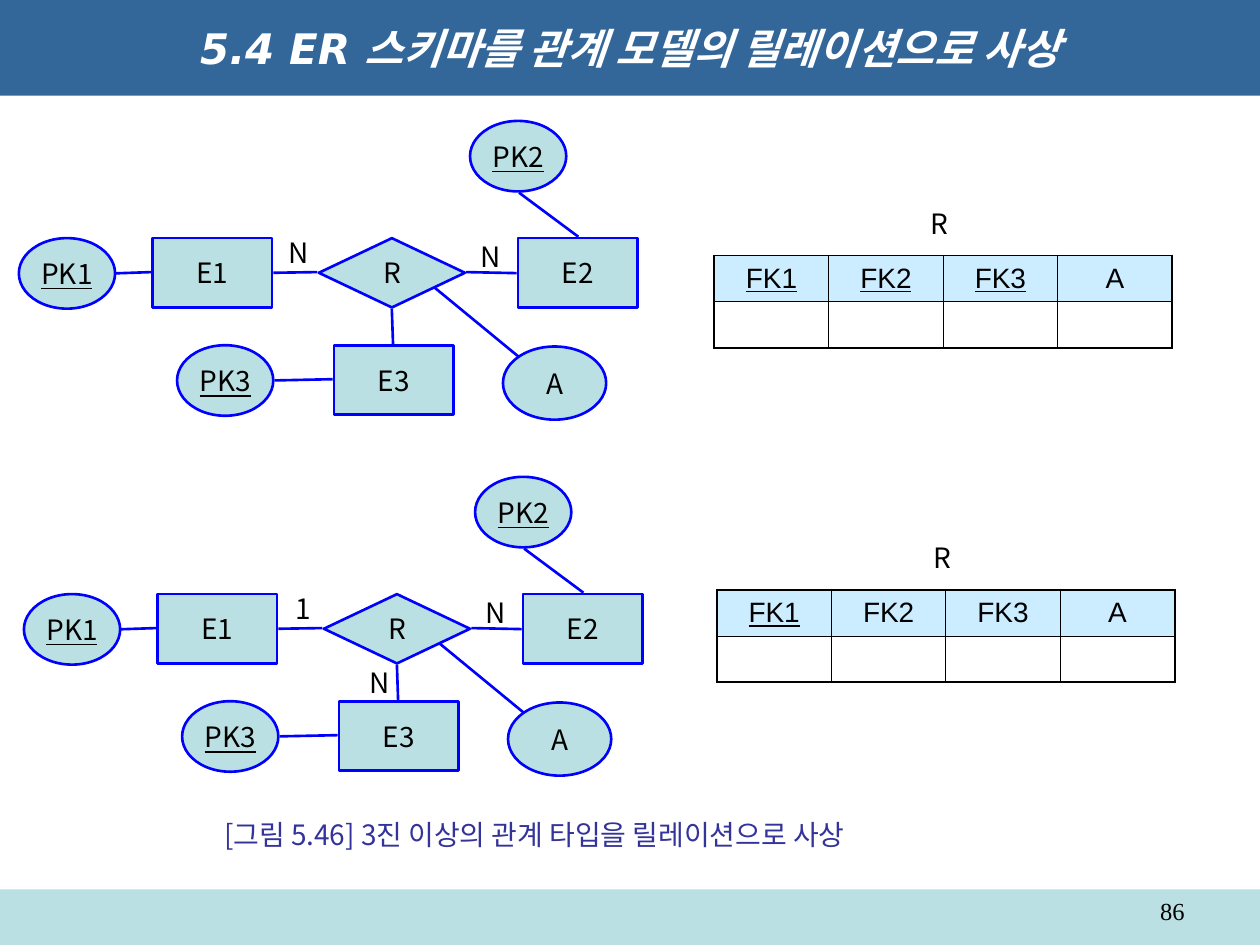
from lxml import etree
from pptx import Presentation
from pptx.dml.color import RGBColor
from pptx.enum.shapes import MSO_CONNECTOR, MSO_SHAPE
from pptx.enum.text import MSO_ANCHOR, PP_ALIGN
from pptx.oxml.ns import qn
from pptx.util import Pt

RECT, OVAL, DIAMOND = MSO_SHAPE.RECTANGLE, MSO_SHAPE.OVAL, MSO_SHAPE.DIAMOND
LINE = MSO_CONNECTOR.STRAIGHT
TOP, MIDDLE = MSO_ANCHOR.TOP, MSO_ANCHOR.MIDDLE
LEFT, CENTER, RIGHT = PP_ALIGN.LEFT, PP_ALIGN.CENTER, PP_ALIGN.RIGHT

BLACK = RGBColor(0, 0, 0)
WHITE = RGBColor(255, 255, 255)
BLUE = RGBColor(0, 0, 255)
TEAL = RGBColor(0xBB, 0xE0, 0xE3)
STEEL = RGBColor(0x33, 0x66, 0x99)
INDIGO = RGBColor(0x33, 0x33, 0x99)
PALE = RGBColor(0xCC, 0xEC, 0xFF)
SANS, HANGUL = "Noto Sans CJK JP", "Noto Sans CJK KR"

NODES = [
    (DIAMOND, "R", 171.4, 67, 83.5, 39.6),
    (RECT, "E1", 76.3, 67, 68.4, 39.6),
    (RECT, "E2", 285.1, 67, 68.4, 39.6),
    (RECT, "E3", 180, 128.2, 68.4, 39.6),
    (OVAL, "PK1", 0, 67, 55, 40.3),
    (OVAL, "PK2", 257.8, 0, 55, 40.3),
    (OVAL, "PK3", 90.4, 128.2, 55, 40.3),
    (OVAL, "A", 276.6, 128.9, 59, 41.8),
]
LINKS = [
    (234.7, 92.9, 291.6, 139.7),
    (55.4, 87.1, 75.6, 86.4),
    (285.8, 41, 319.7, 66.2),
    (145.4, 86.8, 170.6, 86.4),
    (255.6, 86.4, 284.4, 87),
    (146.2, 148.3, 179.3, 147.6),
    (213.1, 107.3, 213.8, 127.4),
]
SPOTS = [(146.3, 62), (256.3, 64.4), (190.1, 104.4)]


def write(frame, text, size=16, font=SANS, color=BLACK, align=CENTER,
          bold=False, italic=False, under=False):
    para = frame.paragraphs[0]
    para.alignment = align
    run = para.add_run()
    run.text = text
    style = run.font
    style.size, style.name = Pt(size), font
    style.bold, style.italic, style.underline = bold, italic, under
    style.color.rgb = color
    asian = font if font == SANS else HANGUL
    etree.SubElement(run._r.get_or_add_rPr(), qn("a:ea"), typeface=asian)


def label(slide, box, text, anchor=TOP, wrap=False, **style):
    frame = slide.shapes.add_textbox(*map(Pt, box)).text_frame
    frame.word_wrap = wrap
    frame.vertical_anchor = anchor
    write(frame, text, **style)


def block(slide, kind, box, fill, edge=None):
    shape = slide.shapes.add_shape(kind, *map(Pt, box))
    shape.shadow.inherit = False
    shape.fill.solid()
    shape.fill.fore_color.rgb = fill
    if edge is None:
        shape.line.fill.background()
    else:
        shape.line.color.rgb = edge
        shape.line.width = Pt(1.5)
    shape.text_frame.vertical_anchor = MIDDLE
    return shape


def link(slide, ends):
    wire = slide.shapes.add_connector(LINE, *map(Pt, ends))
    wire.line.color.rgb = BLUE
    wire.line.width = Pt(1.5)
    etree.SubElement(wire._element.spPr, qn("a:effectLst"))


def diagram(slide, left, top, marks):
    for x1, y1, x2, y2 in LINKS:
        link(slide, (left + x1, top + y1, left + x2, top + y2))
    for kind, name, x, y, wide, high in NODES:
        shape = block(slide, kind, (left + x, top + y, wide, high), TEAL, BLUE)
        shape.text_frame.word_wrap = False
        write(shape.text_frame, name, under=name.startswith("PK"))
    for (x, y), mark in zip(SPOTS, marks):
        if mark:
            label(slide, (left + x, top + y, 26.6, 26.6), mark)


def border(cell, sides):
    props = cell._tc.get_or_add_tcPr()
    for spot, (side, thick) in enumerate(sides.items()):
        line = etree.Element(qn("a:ln" + side), w=str(Pt(thick)))
        fill = etree.SubElement(line, qn("a:solidFill"))
        etree.SubElement(fill, qn("a:srgbClr"), val=str(BLACK))
        props.insert(spot, line)


def relation(slide, left, top, keys):
    names = ["FK1", "FK2", "FK3", "A"]
    wide, high, thin, thick = 65.4, 26.4, 0.45, 1.08
    last = len(names) - 1
    box = map(Pt, (left, top, wide * len(names), high * 2))
    table = slide.shapes.add_table(2, len(names), *box).table
    for col, name in enumerate(names):
        table.columns[col].width = Pt(wide)
        for row in range(2):
            cell = table.cell(row, col)
            cell.vertical_anchor = MIDDLE
            cell.fill.solid()
            cell.fill.fore_color.rgb = WHITE if row else PALE
            border(cell, {
                "L": thin if col else thick,
                "R": thick if col == last else thin,
                "T": thin if row else thick,
                "B": thick if row else thin,
            })
            if row:
                cell.margin_top = cell.margin_bottom = 0
            else:
                write(cell.text_frame, name, font="Arial", under=name in keys)
    for row in table.rows:
        row.height = Pt(high)
    label(slide, (left + 116.5, top - 31.7, 24.5, 26.6), "R")


def header(slide, box):
    bar = block(slide, RECT, box, STEEL)
    write(bar.text_frame, "5.4 ER 스키마를 관계 모델의 릴레이션으로 사상", size=24,
          font="DejaVu Sans", color=WHITE, bold=True, italic=True)


def footer(slide, left, top, wide, high):
    block(slide, RECT, (left, top, wide, high), TEAL)
    label(slide, (left + wide - 203.8, top, 167.8, 20.9), "86", wrap=True,
          size=14, font="Times New Roman", align=RIGHT)


def main():
    deck = Presentation()
    deck.slide_width, deck.slide_height = Pt(720), Pt(540)
    slide = deck.slides.add_slide(deck.slide_layouts[6])
    footer(slide, 0, 508.3, 720, 31.7)
    header(slide, (0, 0, 720, 54.7))
    diagram(slide, 10.8, 69.1, ["N", "N", ""])
    diagram(slide, 13.7, 272.5, ["1", "N", "N"])
    relation(slide, 408.2, 146, ["FK1", "FK2", "FK3"])
    relation(slide, 409.7, 337, ["FK1"])
    label(slide, (121, 463.7, 408.2, 26.6),
          "[그림 5.46] 3진 이상의 관계 타입을 릴레이션으로 사상",
          anchor=MIDDLE, wrap=True, font=HANGUL, color=INDIGO, align=LEFT)
    deck.save("out.pptx")


if __name__ == "__main__":
    main()
